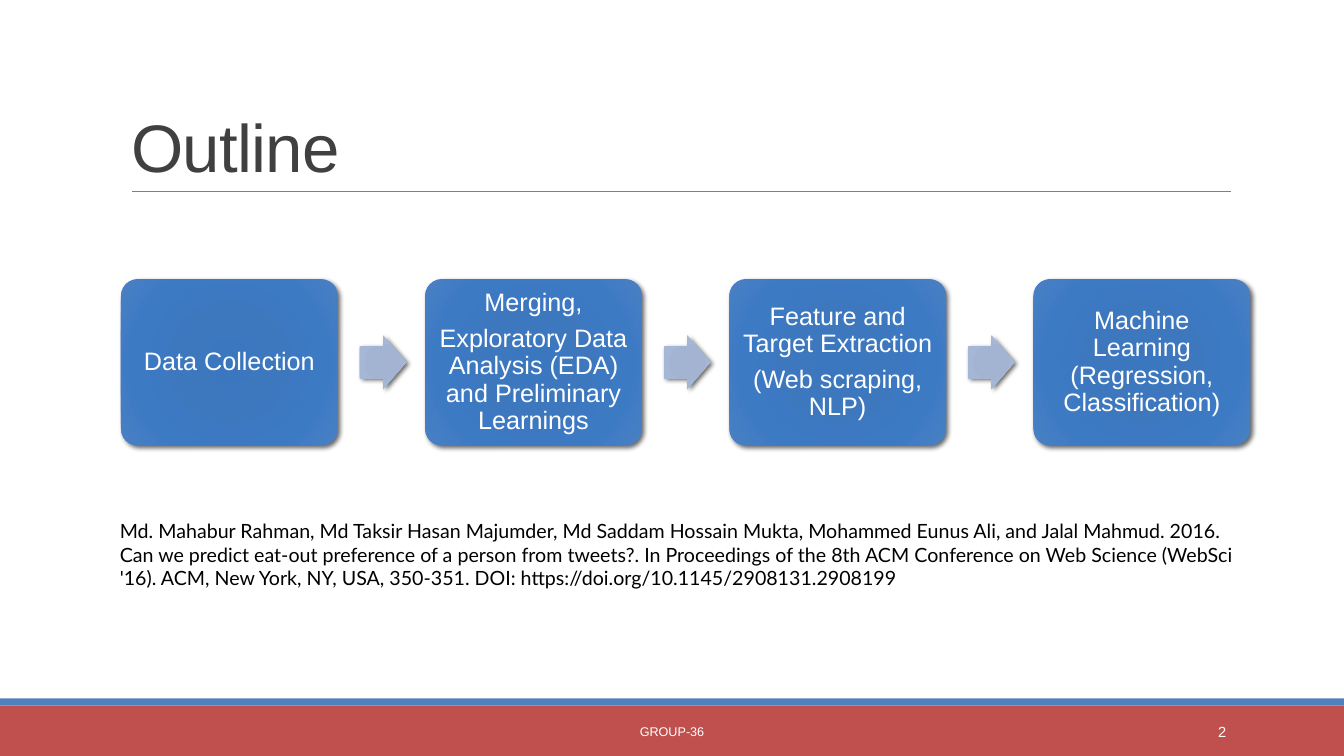
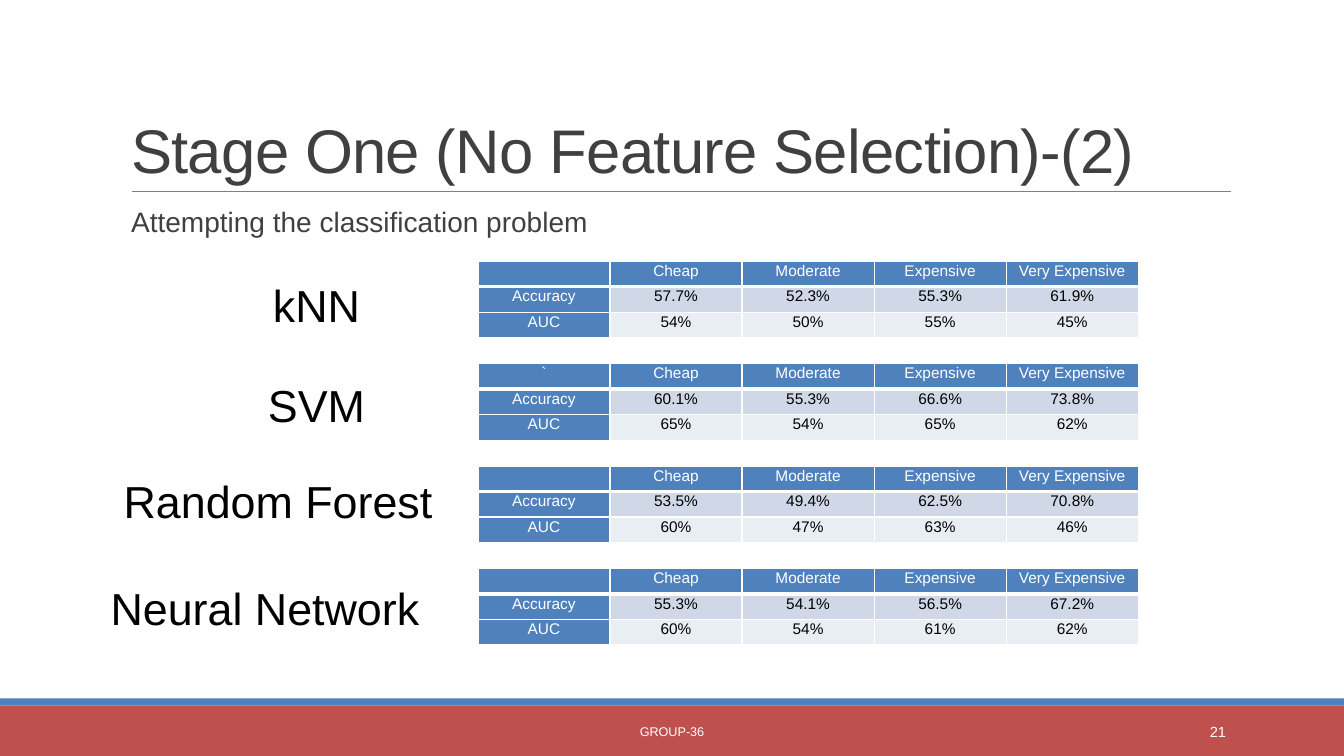
from dataclasses import dataclass
from typing import Any, Optional

from lxml import etree
from pptx import Presentation
from pptx.dml.color import RGBColor
from pptx.enum.shapes import MSO_CONNECTOR, MSO_SHAPE
from pptx.enum.text import MSO_ANCHOR, MSO_AUTO_SIZE, PP_ALIGN
from pptx.oxml.ns import qn
from pptx.util import Inches, Pt

RECT = MSO_SHAPE.RECTANGLE
ROUNDED = MSO_SHAPE.ROUNDED_RECTANGLE
ARROW = MSO_SHAPE.RIGHT_ARROW
STRAIGHT = MSO_CONNECTOR.STRAIGHT
LEFT, CENTER, RIGHT = PP_ALIGN.LEFT, PP_ALIGN.CENTER, PP_ALIGN.RIGHT
TOP, MIDDLE, BOTTOM = MSO_ANCHOR.TOP, MSO_ANCHOR.MIDDLE, MSO_ANCHOR.BOTTOM
FIXED, GROW = MSO_AUTO_SIZE.NONE, MSO_AUTO_SIZE.SHAPE_TO_FIT_TEXT
TITLE_ONLY, TITLE_AND_BODY = 5, 1

Stops = tuple[tuple[int, str], ...]


@dataclass(frozen=True)
class Theme:
    font: str = "Arial"
    citation_font: str = "Lato"
    red: str = "C0504D"
    blue: str = "4F81BD"
    rule: str = "808080"
    ink: str = "404040"
    black: str = "000000"
    white: str = "FFFFFF"
    bands: tuple[str, str] = ("D0D8E8", "E9EDF4")
    step_fill: Stops = ((0, "3A77BF"), (34, "3D78BF"), (70, "3C7AC4"), (100, "4A80C3"))
    arrow_fill: Stops = ((0, "A1B2D1"), (34, "A3B4D2"), (70, "A5B6D6"), (100, "B1C0DD"))
    label_size: float = 32
    body_size: float = 20
    step_size: float = 18
    citation_size: float = 14
    cell_size: float = 11
    number_size: float = 10.5
    footer_size: float = 9


THEME = Theme()


@dataclass(frozen=True)
class Box:
    left: float
    top: float
    width: float
    height: float

    def emu(self) -> tuple[int, int, int, int]:
        return Inches(self.left), Inches(self.top), Inches(self.width), Inches(self.height)


@dataclass(frozen=True)
class TextStyle:
    size: float
    color: str = THEME.black
    font: str = THEME.font
    align: Any = LEFT
    spacing: Optional[float] = None
    before: float = 0
    after: float = 0


@dataclass(frozen=True)
class Classifier:
    name: str
    label: Box
    accuracy: tuple[str, ...]
    auc: tuple[str, ...]
    corner: str = ""


STEPS = (
    ("Data Collection",),
    ("Merging,", "Exploratory Data Analysis (EDA) and Preliminary Learnings"),
    ("Feature and Target Extraction", "(Web scraping, NLP)"),
    ("Machine Learning (Regression, Classification)",),
)
CITATION = (
    "Md. Mahabur Rahman, Md Taksir Hasan Majumder, Md Saddam Hossain Mukta, "
    "Mohammed Eunus Ali, and Jalal Mahmud. 2016. Can we predict eat-out preference "
    "of a person from tweets?. In Proceedings of the 8th ACM Conference on Web Science "
    "(WebSci '16). ACM, New York, NY, USA, 350-351. "
    "DOI: https://doi.org/10.1145/2908131.2908199"
)
PRICE_LEVELS = ("Cheap", "Moderate", "Expensive", "Very Expensive")
CLASSIFIERS = (
    Classifier("kNN", Box(2.49, 2.71, 1.3, 0.64),
               ("57.7%", "52.3%", "55.3%", "61.9%"), ("54%", "50%", "55%", "45%")),
    Classifier("SVM", Box(2.49, 3.7, 1.3, 0.64),
               ("60.1%", "55.3%", "66.6%", "73.8%"), ("65%", "54%", "65%", "62%"), "`"),
    Classifier("Random Forest", Box(0.78, 4.65, 3.96, 0.64),
               ("53.5%", "49.4%", "62.5%", "70.8%"), ("60%", "47%", "63%", "46%")),
    Classifier("Neural Network", Box(0.48, 5.71, 4.3, 0.64),
               ("55.3%", "54.1%", "56.5%", "67.2%"), ("60%", "54%", "61%", "62%")),
)


def rgb(color: str) -> RGBColor:
    return RGBColor.from_string(color)


def write(frame: Any, paragraphs: tuple[str, ...], style: TextStyle) -> None:
    frame.text = "\n".join(paragraphs)
    for paragraph in frame.paragraphs:
        paragraph.alignment = style.align
        paragraph.space_before = Pt(style.before)
        paragraph.space_after = Pt(style.after)
        if style.spacing:
            paragraph.line_spacing = style.spacing
        paragraph.font.size = Pt(style.size)
        paragraph.font.name = style.font
        paragraph.font.color.rgb = rgb(style.color)


def set_frame(frame: Any, anchor: Any, auto_size: Any = FIXED) -> None:
    frame.word_wrap = True
    frame.auto_size = auto_size
    frame.vertical_anchor = anchor


def place(shape: Any, box: Box) -> None:
    shape.left, shape.top, shape.width, shape.height = box.emu()


def add_text(slide: Any, box: Box, text: str, style: TextStyle,
             anchor: Any = TOP, auto_size: Any = FIXED) -> None:
    frame = slide.shapes.add_textbox(*box.emu()).text_frame
    set_frame(frame, anchor, auto_size)
    write(frame, (text,), style)


def add_band(slide: Any, box: Box, color: str) -> None:
    band = slide.shapes.add_shape(RECT, *box.emu())
    band.shadow.inherit = False
    band.fill.solid()
    band.fill.fore_color.rgb = rgb(color)
    band.line.fill.background()


def add_glossy(slide: Any, kind: Any, box: Box, stops: Stops,
               adjustments: tuple[float, ...]) -> Any:
    shape = slide.shapes.add_shape(kind, *box.emu())
    for index, value in enumerate(adjustments):
        shape.adjustments[index] = value
    shape.line.fill.background()
    shape.shadow.inherit = False
    properties = shape._element.spPr

    gradient = etree.Element(qn("a:gradFill"), rotWithShape="1")
    stop_list = etree.SubElement(gradient, qn("a:gsLst"))
    for position, color in stops:
        stop = etree.SubElement(stop_list, qn("a:gs"), pos=str(position * 1000))
        etree.SubElement(stop, qn("a:srgbClr"), val=color)
    path = etree.SubElement(gradient, qn("a:path"), path="circle")
    etree.SubElement(path, qn("a:fillToRect"), {side: "100000" for side in "ltrb"})
    properties.find(qn("a:prstGeom")).addnext(gradient)

    shadow = etree.SubElement(
        properties.find(qn("a:effectLst")), qn("a:outerShdw"), blurRad=str(Pt(3.5)),
        dist=str(Pt(2)), dir="2700000", algn="tl", rotWithShape="0")
    shade = etree.SubElement(shadow, qn("a:srgbClr"), val=THEME.black)
    etree.SubElement(shade, qn("a:alpha"), val="60000")
    return shape


def add_slide(deck: Any, layout: int, title: str, title_size: float, number: str) -> Any:
    slide = deck.slides.add_slide(deck.slide_layouts[layout])
    add_band(slide, Box(0, 7, 13.33, 0.5), THEME.red)
    add_band(slide, Box(0, 6.93, 13.33, 0.07), THEME.blue)
    rule = slide.shapes.add_connector(
        STRAIGHT, Inches(1.31), Inches(1.9), Inches(12.21), Inches(1.9))
    rule.line.color.rgb = rgb(THEME.rule)
    rule.line.width = Pt(0.5)
    etree.SubElement(rule._element.spPr, qn("a:effectLst"))

    heading = slide.shapes.title
    place(heading, Box(1.2, 0.31, 11, 1.59))
    set_frame(heading.text_frame, BOTTOM)
    write(heading.text_frame, (title,), TextStyle(title_size, THEME.ink, spacing=0.85))
    heading_properties = heading.text_frame.paragraphs[0]._p.get_or_add_pPr()
    heading_properties.find(qn("a:defRPr")).set("spc", "-50")

    add_text(slide, Box(4.03, 7.06, 5.27, 0.4), "GROUP-36",
             TextStyle(THEME.footer_size, THEME.white, align=CENTER), MIDDLE)
    add_text(slide, Box(10.83, 7.06, 1.43, 0.4), number,
             TextStyle(THEME.number_size, THEME.white, align=RIGHT), MIDDLE)
    return slide


def set_borders(cell: Any, bottom: float) -> None:
    properties = cell._tc.get_or_add_tcPr()
    widths = {"a:lnL": 1, "a:lnR": 1, "a:lnT": 1, "a:lnB": bottom}
    for index, (tag, width) in enumerate(widths.items()):
        border = etree.Element(qn(tag), w=str(Pt(width)))
        fill = etree.SubElement(border, qn("a:solidFill"))
        etree.SubElement(fill, qn("a:srgbClr"), val=THEME.white)
        properties.insert(index, border)


def add_scores(slide: Any, box: Box, classifier: Classifier) -> None:
    rows = (
        (classifier.corner, *PRICE_LEVELS),
        ("Accuracy", *classifier.accuracy),
        ("AUC", *classifier.auc),
    )
    table = slide.shapes.add_table(len(rows), len(rows[0]), *box.emu()).table
    for row_index, row in enumerate(rows):
        for column_index, text in enumerate(row):
            cell = table.cell(row_index, column_index)
            is_header = row_index == 0 or column_index == 0
            cell.margin_left = cell.margin_right = Inches(0.07)
            cell.margin_top = cell.margin_bottom = 0
            cell.fill.solid()
            cell.fill.fore_color.rgb = rgb(
                THEME.blue if is_header else THEME.bands[row_index - 1])
            write(cell.text_frame, (text,), TextStyle(
                THEME.cell_size, THEME.white if is_header else THEME.black,
                align=CENTER, spacing=1.07))
            set_borders(cell, 3 if row_index == 0 else 1)


def build_outline(deck: Any) -> None:
    slide = add_slide(deck, TITLE_ONLY, "Outline", 48, "2")
    first_left, last_left = 1.2, 10.25
    pitch = (last_left - first_left) / (len(STEPS) - 1)
    style = TextStyle(THEME.step_size, THEME.white, align=CENTER, spacing=0.9, after=6.3)
    for index, paragraphs in enumerate(STEPS):
        left = first_left + index * pitch
        step = add_glossy(slide, ROUNDED, Box(left, 2.77, 2.15, 1.65),
                          THEME.step_fill, (0.1,))
        frame = step.text_frame
        set_frame(frame, MIDDLE)
        frame.margin_left = frame.margin_right = Inches(0.07)
        frame.margin_top = frame.margin_bottom = Inches(0.07)
        write(frame, paragraphs, style)
        if index < len(STEPS) - 1:
            add_glossy(slide, ARROW, Box(left + 2.37, 3.33, 0.46, 0.53),
                       THEME.arrow_fill, (0.6, 0.5))
    add_text(slide, Box(1.09, 5.1, 11.43, 0.81), CITATION,
             TextStyle(THEME.citation_size, font=THEME.citation_font), auto_size=GROW)


def build_stage_one(deck: Any) -> None:
    slide = add_slide(deck, TITLE_AND_BODY, "Stage One (No Feature Selection)-(2)", 44, "21")
    body = slide.placeholders[1]
    place(body, Box(1.2, 2.02, 11, 4.4))
    frame = body.text_frame
    set_frame(frame, TOP)
    frame.margin_left = frame.margin_right = 0
    write(frame, ("Attempting the classification problem",),
          TextStyle(THEME.body_size, THEME.ink, spacing=0.9, before=12, after=2))
    properties = frame.paragraphs[0]._p.get_or_add_pPr()
    properties.set("marL", str(Inches(0.1)))
    properties.set("indent", "0")
    properties.find(qn("a:defRPr")).addprevious(etree.Element(qn("a:buNone")))

    first_top, last_top = 2.59, 5.64
    pitch = (last_top - first_top) / (len(CLASSIFIERS) - 1)
    for index, classifier in enumerate(CLASSIFIERS):
        add_scores(slide, Box(4.74, first_top + index * pitch, 6.55, 0.76), classifier)
        add_text(slide, classifier.label, classifier.name,
                 TextStyle(THEME.label_size, align=CENTER), auto_size=GROW)


def main() -> None:
    deck = Presentation()
    deck.slide_width, deck.slide_height = Inches(13.33), Inches(7.5)
    build_outline(deck)
    build_stage_one(deck)
    deck.save("out.pptx")


if __name__ == "__main__":
    main()
